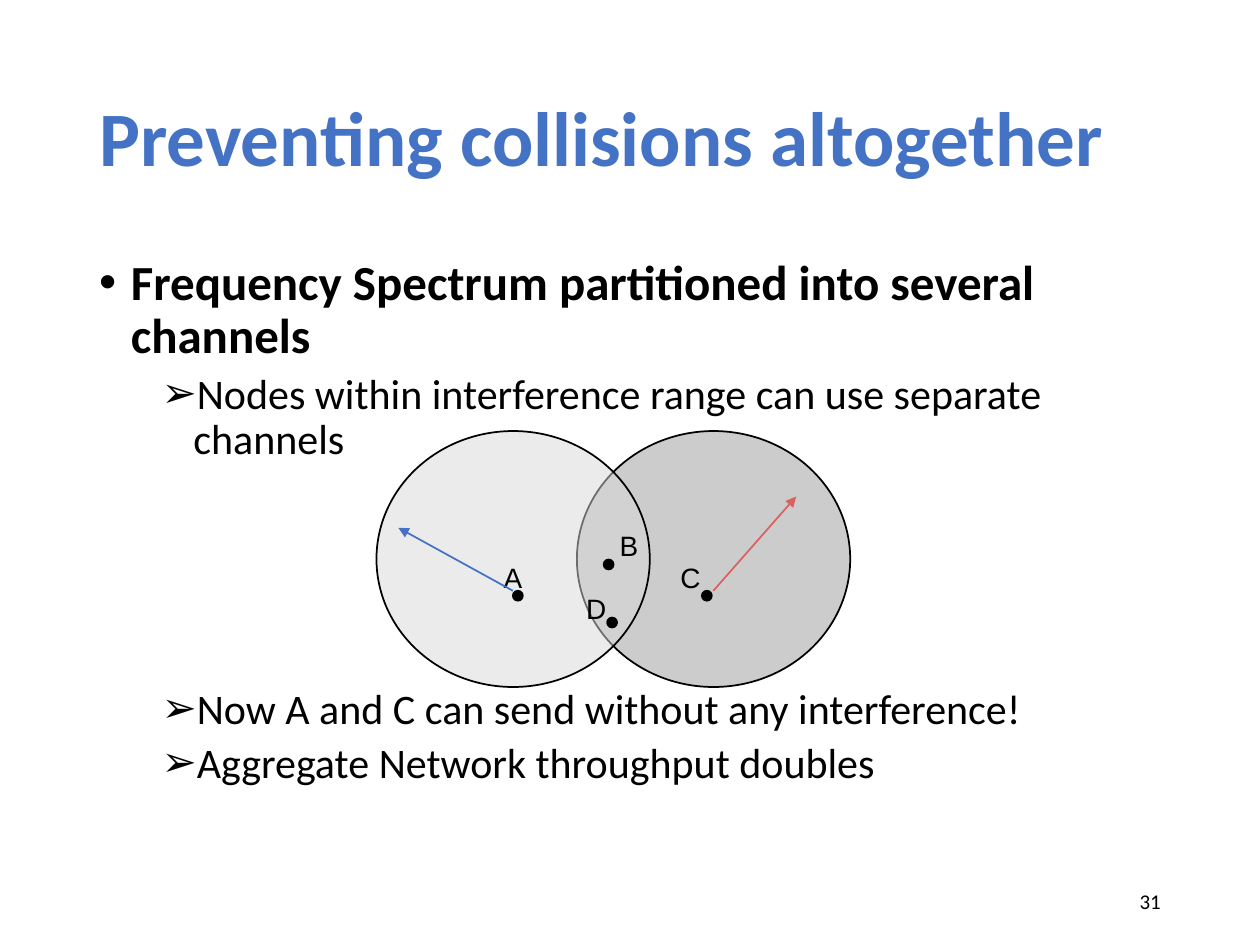
from dataclasses import dataclass

from lxml import etree
from pptx import Presentation
from pptx.dml.color import RGBColor
from pptx.enum.shapes import MSO_CONNECTOR, MSO_SHAPE
from pptx.enum.text import MSO_ANCHOR, PP_ALIGN
from pptx.oxml.ns import qn
from pptx.util import Cm, Pt

OVAL = MSO_SHAPE.OVAL
STRAIGHT = MSO_CONNECTOR.STRAIGHT
TOP, MIDDLE = MSO_ANCHOR.TOP, MSO_ANCHOR.MIDDLE
LEFT, CENTER, RIGHT = PP_ALIGN.LEFT, PP_ALIGN.CENTER, PP_ALIGN.RIGHT


@dataclass(frozen=True)
class Theme:
    blue: str = "4472C4"
    red: str = "D9615F"
    black: str = "000000"
    light: str = "D9D9D9"
    grey: str = "CCCCCC"
    text_font: str = "Calibri"
    label_font: str = "Arial"
    title: int = 44
    point: int = 28
    subpoint: int = 24
    label: int = 16
    number: int = 12
    line: int = 1


@dataclass(frozen=True)
class Box:
    left: float
    top: float
    width: float
    height: float

    def lengths(self) -> tuple:
        return Cm(self.left), Cm(self.top), Cm(self.width), Cm(self.height)


@dataclass(frozen=True)
class Bullet:
    text: str
    mark: str
    size: int
    indent: float
    before: float
    bold: bool = False


@dataclass(frozen=True)
class Node:
    name: str
    dot: tuple[float, float]
    label: tuple[float, float]


@dataclass(frozen=True)
class Signal:
    start: tuple[float, float]
    end: tuple[float, float]
    color: str


THEME = Theme()
HANGING = 0.64
DOT_SIZE = 0.2
LABEL_SIZE = 0.92
RANGE_TOP, RANGE_WIDTH, RANGE_HEIGHT = 8.69, 5.51, 5.16

BULLETS = [
    Bullet("Frequency Spectrum partitioned into several channels", "•", THEME.point, 0.64, 10, True),
    Bullet("Nodes within interference range can use separate channels", "➢", THEME.subpoint, 1.9, 5),
    Bullet("Now A and C can send without any interference!", "➢", THEME.subpoint, 1.9, 128.5),
    Bullet("Aggregate Network throughput doubles", "➢", THEME.subpoint, 1.9, 5),
]
NODES = [
    Node("A", (10.34, 11.91), (9.88, 11.18)),
    Node("B", (12.17, 11.28), (12.22, 10.54)),
    Node("C", (14.15, 11.91), (13.46, 11.18)),
    Node("D", (12.24, 12.45), (11.56, 11.81)),
]
SIGNALS = [
    Signal((14.38, 11.91), (16.05, 10.01), THEME.red),
    Signal((10.34, 11.91), (8.03, 10.64), THEME.blue),
]


def write(paragraph, text: str, *, size: int, font: str = THEME.text_font, color: str = THEME.black,
          bold: bool = False, align=LEFT, spacing: float = 1.0, before: float = 0) -> None:
    paragraph.alignment = align
    paragraph.line_spacing = spacing
    paragraph.space_before = Pt(before)
    run = paragraph.add_run()
    run.text = text
    run.font.size = Pt(size)
    run.font.name = font
    run.font.bold = bold
    run.font.color.rgb = RGBColor.from_string(color)


def add_frame(slide, box: Box, anchor=TOP, wrap: bool = True):
    frame = slide.shapes.add_textbox(*box.lengths()).text_frame
    frame.word_wrap = wrap
    frame.vertical_anchor = anchor
    return frame


def add_bullets(slide, box: Box, bullets: list[Bullet]) -> None:
    frame = add_frame(slide, box)
    for index, bullet in enumerate(bullets):
        paragraph = frame.add_paragraph() if index else frame.paragraphs[0]
        write(paragraph, bullet.text, size=bullet.size, bold=bullet.bold, spacing=0.9, before=bullet.before)
        properties = paragraph._p.get_or_add_pPr()
        properties.set("marL", str(Cm(bullet.indent)))
        properties.set("indent", str(-Cm(HANGING)))
        etree.SubElement(properties, qn("a:buFont")).set("typeface", THEME.label_font)
        etree.SubElement(properties, qn("a:buChar")).set("char", bullet.mark)


def add_ellipse(slide, box: Box, color: str, opacity: int = 100) -> None:
    ellipse = slide.shapes.add_shape(OVAL, *box.lengths())
    ellipse.shadow.inherit = False
    ellipse.fill.solid()
    ellipse.fill.fore_color.rgb = RGBColor.from_string(color)
    ellipse.line.color.rgb = RGBColor.from_string(THEME.black)
    ellipse.line.width = Pt(THEME.line)
    if opacity < 100:
        fill_color = ellipse._element.spPr.find(qn("a:solidFill"))[0]
        etree.SubElement(fill_color, qn("a:alpha")).set("val", str(opacity * 1000))


def add_signal(slide, signal: Signal) -> None:
    ends = [Cm(value) for value in (*signal.start, *signal.end)]
    arrow = slide.shapes.add_connector(STRAIGHT, *ends)
    arrow.line.color.rgb = RGBColor.from_string(signal.color)
    arrow.line.width = Pt(THEME.line)
    etree.SubElement(arrow.line._get_or_add_ln(), qn("a:tailEnd")).set("type", "triangle")
    etree.SubElement(arrow._element.spPr, qn("a:effectLst"))


def add_network(slide) -> None:
    add_ellipse(slide, Box(11.63, RANGE_TOP, RANGE_WIDTH, RANGE_HEIGHT), THEME.grey)
    add_ellipse(slide, Box(7.59, RANGE_TOP, RANGE_WIDTH, RANGE_HEIGHT), THEME.light, opacity=50)
    for node in NODES:
        add_ellipse(slide, Box(*node.dot, DOT_SIZE, DOT_SIZE), THEME.black)
    for node in NODES:
        label = add_frame(slide, Box(*node.label, LABEL_SIZE, LABEL_SIZE), wrap=False)
        write(label.paragraphs[0], node.name, size=THEME.label, font=THEME.label_font, align=CENTER)
    for signal in SIGNALS:
        add_signal(slide, signal)


def main() -> None:
    deck = Presentation()
    deck.slide_width, deck.slide_height = Cm(25.4), Cm(19.05)
    slide = deck.slides.add_slide(deck.slide_layouts[6])

    title = add_frame(slide, Box(1.75, 1.02, 21.9, 3.68), MIDDLE)
    write(title.paragraphs[0], "Preventing collisions altogether", size=THEME.title,
          color=THEME.blue, bold=True, spacing=0.9)
    add_bullets(slide, Box(1.75, 5.08, 21.9, 12.09), BULLETS)
    add_network(slide)
    number = add_frame(slide, Box(17.93, 17.65, 5.72, 1.02), MIDDLE)
    write(number.paragraphs[0], "31", size=THEME.number, align=RIGHT)

    deck.save("out.pptx")


if __name__ == "__main__":
    main()
